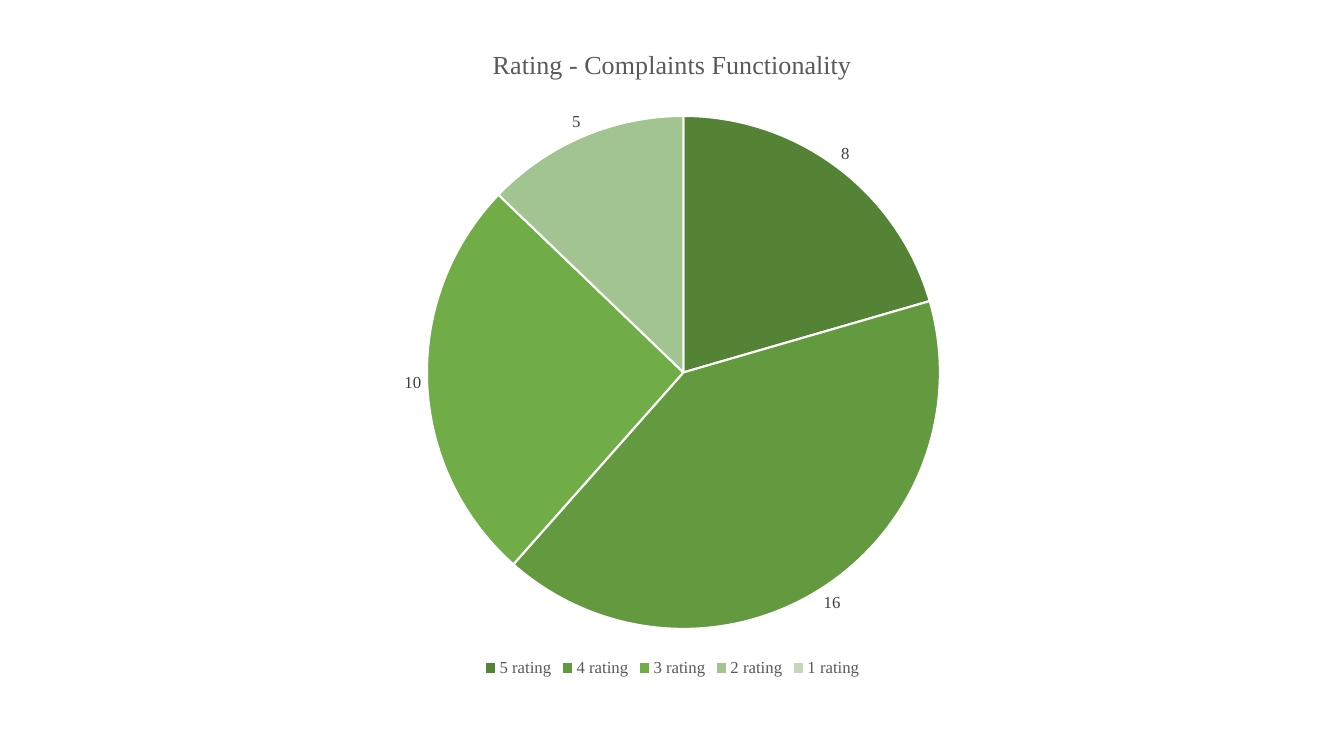
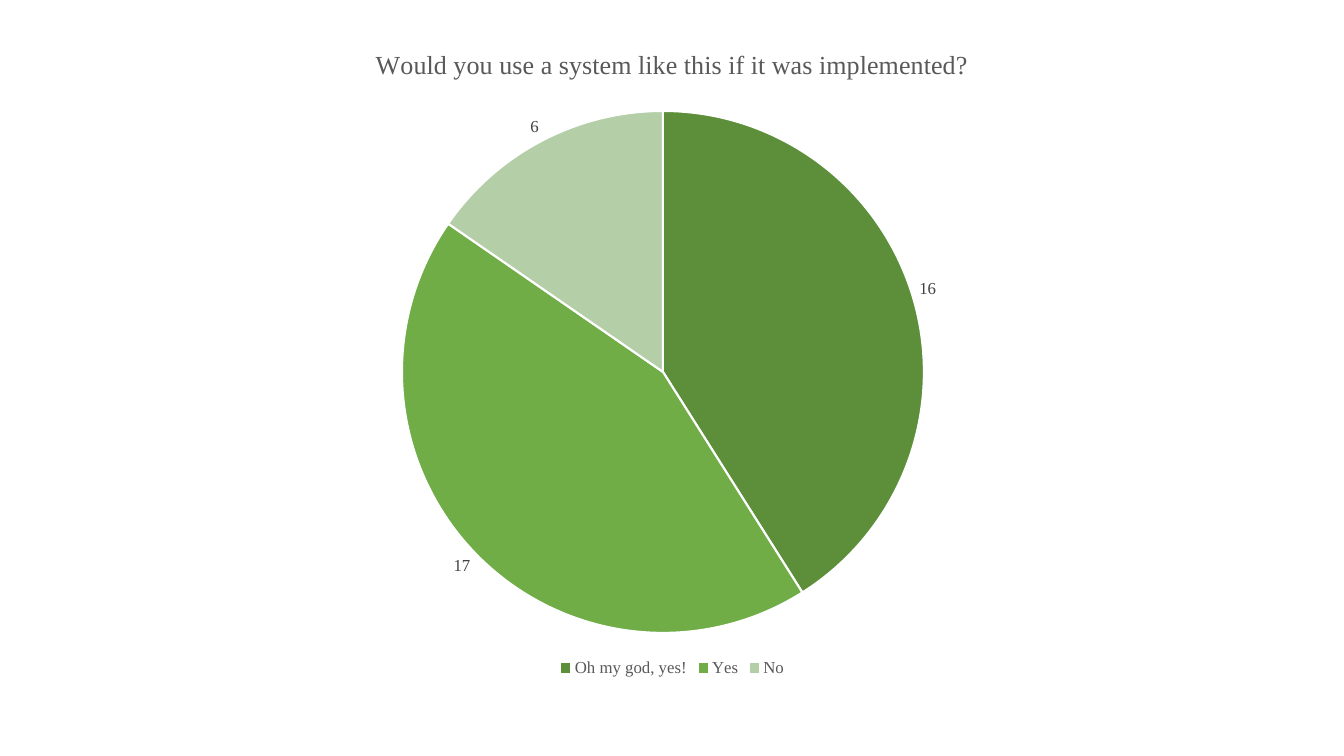
"""Build two survey slides, each with one pie chart."""
from dataclasses import dataclass
from lxml.etree import SubElement
from pptx import Presentation
from pptx.chart.data import CategoryChartData
from pptx.dml.color import RGBColor
from pptx.enum.chart import XL_CHART_TYPE, XL_LABEL_POSITION, XL_LEGEND_POSITION
from pptx.oxml.ns import qn
from pptx.util import Pt

PIES = [
    {
        "title": "Rating - Complaints Functionality",
        "parts": [
            ("5 rating", 8, "558336"),
            ("4 rating", 16, "639A3F"),
            ("3 rating", 10, "70AD47"),
            ("2 rating", 5, "A1C490"),
            ("1 rating", 0, "C3D8BB"),
        ],
        "disc": (427, 116, 513),
    },
    {
        "title": "Would you use a system like this if it was implemented?",
        "parts": [
            ("Oh my god, yes!", 16, "5D8F3B"),
            ("Yes", 17, "70AD47"),
            ("No", 6, "B4CFA8"),
        ],
        "disc": (402, 111, 522),
    },
]
PAGE = (1344, 756)
FRAME = (93, 25, 1159, 656)
SCALE = 914400 / 100.8


@dataclass(frozen=True)
class Theme:
    """Colours and type sizes of the deck."""
    face: str = "Times New Roman"
    grey: str = "595959"
    dark: str = "404040"
    edge: str = "FFFFFF"
    head: float = 18.6
    body: float = 12
    rule: float = 1.5


LOOK = Theme()


def emu(px):
    """Turn pixels into EMU."""
    return round(px * SCALE)


def put(item, **form):
    """Set each named value on the item."""
    for name, value in form.items():
        setattr(item, name, value)


def ink(font, size, tone):
    """Give a font the deck face, a size and a colour."""
    put(font, name=LOOK.face, size=Pt(size), bold=False)
    font.color.rgb = RGBColor.from_string(tone)


def place(chart, disc):
    """Fix the pie inside its frame."""
    left, top, size = disc
    plot = chart.element.find(".//" + qn("c:plotArea"))
    for old in plot.findall(qn("c:layout")):
        plot.remove(old)
    box = SubElement(plot, qn("c:layout"))
    plot.insert(0, box)
    rule = SubElement(box, qn("c:manualLayout"))
    x, y, wide, high = FRAME
    form = {
        "layoutTarget": "inner", "xMode": "edge", "yMode": "edge",
        "x": (left - x) / wide, "y": (top - y) / high,
        "w": size / wide, "h": size / high,
    }
    for name, value in form.items():
        SubElement(rule, qn("c:" + name)).set("val", str(value))


def draw(slide, pie):
    """Add one pie chart to the slide."""
    names, values, tones = zip(*pie["parts"])
    data = CategoryChartData()
    data.categories = names
    data.add_series(pie["title"], values)
    chart = slide.shapes.add_chart(XL_CHART_TYPE.PIE, *map(emu, FRAME), data).chart
    ink(chart.font, LOOK.body, LOOK.grey)

    put(chart, has_title=True, has_legend=True)
    chart.chart_title.include_in_layout = False
    text = chart.chart_title.text_frame
    text.text = pie["title"]
    ink(text.paragraphs[0].runs[0].font, LOOK.head, LOOK.grey)
    put(chart.legend, position=XL_LEGEND_POSITION.BOTTOM, include_in_layout=False)
    ink(chart.legend.font, LOOK.body, LOOK.grey)

    plot = chart.plots[0]
    put(plot, vary_by_categories=True, has_data_labels=True)
    put(plot.data_labels, show_value=True, show_percentage=False,
        position=XL_LABEL_POSITION.OUTSIDE_END,
        number_format="0;;", number_format_is_linked=False)
    ink(plot.data_labels.font, LOOK.body, LOOK.dark)
    for spot, tone in enumerate(tones):
        form = plot.series[0].points[spot].format
        form.fill.solid()
        form.fill.fore_color.rgb = RGBColor.from_string(tone)
        form.line.width = Pt(LOOK.rule)
        form.line.color.rgb = RGBColor.from_string(LOOK.edge)
    place(chart, pie["disc"])


def main():
    """Build and save the deck."""
    deck = Presentation()
    wide, high = map(emu, PAGE)
    put(deck, slide_width=wide, slide_height=high)
    blank = deck.slide_layouts.get_by_name("Blank")
    for pie in PIES:
        draw(deck.slides.add_slide(blank), pie)
    deck.save("out.pptx")


main()
